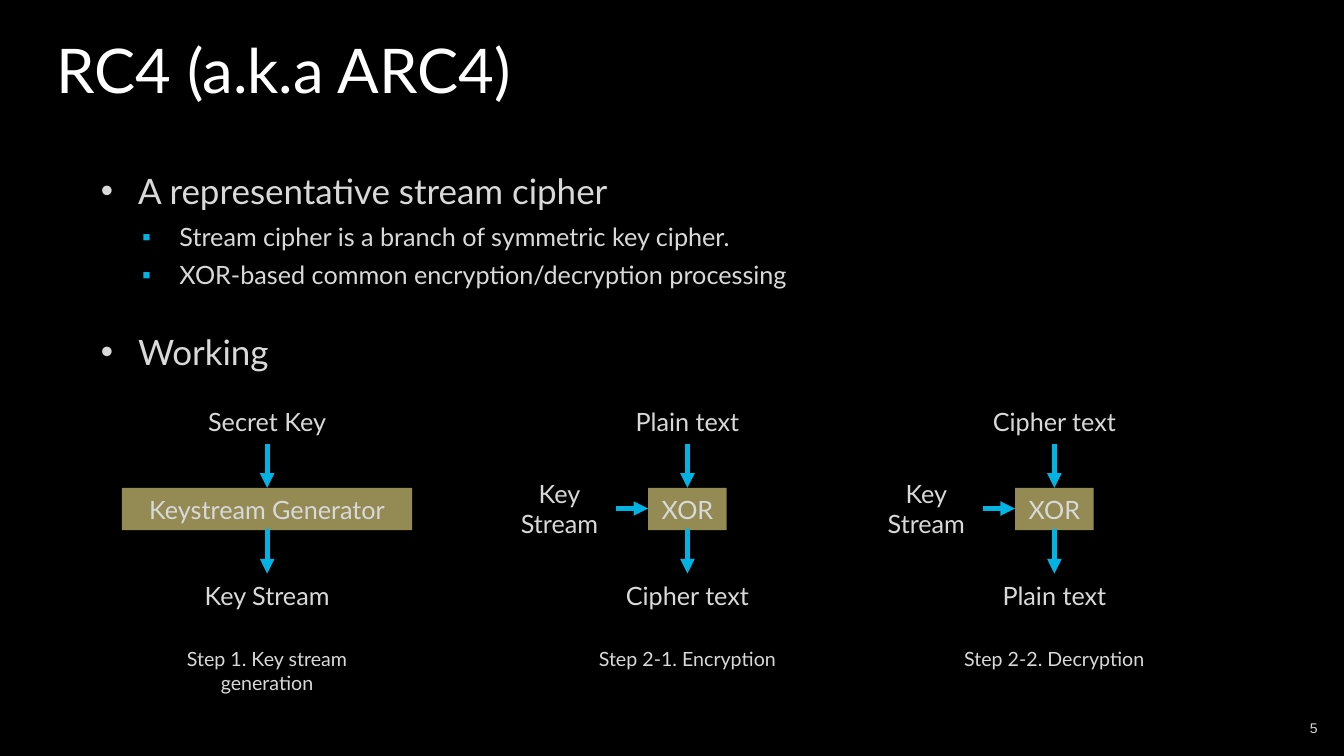
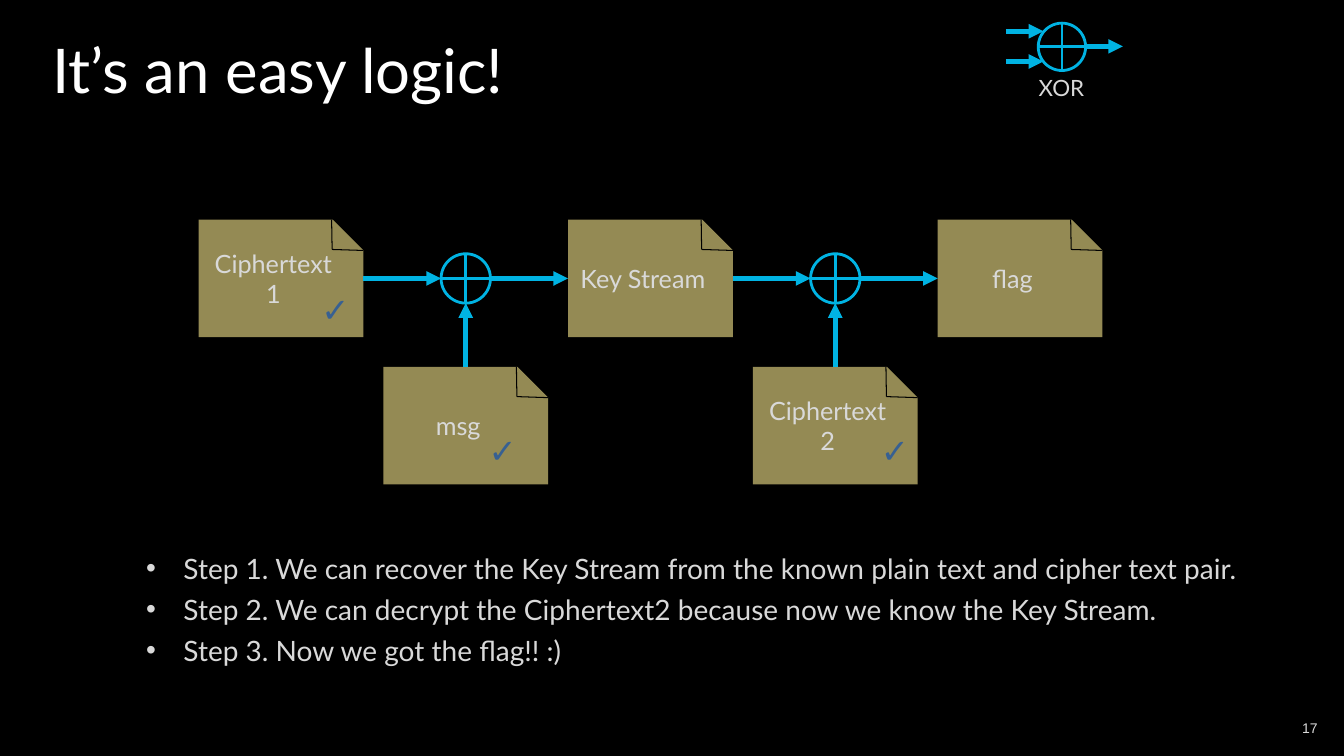
"""Build two slides on stream ciphers: how RC4 works and how a reused key stream leaks."""
from dataclasses import dataclass

from lxml.etree import SubElement
from pptx import Presentation
from pptx.dml.color import RGBColor
from pptx.enum.shapes import MSO_CONNECTOR as Connector, MSO_SHAPE as Preset
from pptx.enum.text import MSO_ANCHOR as Anchor, MSO_AUTO_SIZE as AutoSize, PP_ALIGN as Align
from pptx.oxml.ns import qn
from pptx.util import Inches, Pt


@dataclass(frozen=True)
class Theme:
    """Colours, fonts, type sizes and line widths of the deck."""
    back: str = "000000"
    title: str = "FFFFFF"
    text: str = "D9D9D9"
    accent: str = "00B3E3"
    panel: str = "948A54"
    tick: str = "376092"
    font: str = "Lato"
    plain_font: str = "Arial"
    title_size: float = 44
    head_size: float = 25
    tick_size: float = 24
    step_size: float = 20
    label_size: float = 18
    legend_size: float = 16
    caption_size: float = 14
    number_size: float = 10
    arrow_width: float = 3.5
    ring_width: float = 2
    fold_width: float = 0.75
    item_gap: float = 5.3


def grid(*cells):
    """Turn grid columns or rows, ten to the inch, into lengths."""
    return [Inches(cell / 10) for cell in cells]


def colour(value):
    """Return the colour object for a hex value."""
    return RGBColor.from_string(value)


class Board:
    """Holds the deck, its theme and the page being drawn."""

    def __init__(self, theme):
        """Start a wide deck with the theme's background."""
        self.theme = theme
        self.deck = Presentation()
        self.deck.slide_width, self.deck.slide_height = grid(133.33, 75)
        fill = self.deck.slide_master.background.fill
        fill.solid()
        fill.fore_color.rgb = colour(theme.back)
        self.page = None

    def add_page(self, title, left, number):
        """Add a page with its title and page number."""
        self.page = self.deck.slides.add_slide(self.deck.slide_layouts[1])
        box = self.page.shapes.title
        self.place(box, (left, 2.7, 80, 8.3))
        self.set_text(box, title, self.theme.title_size, Align.LEFT, self.theme.title)
        self.add_text(number, (101.7, 70.2, 30, 4), self.theme.number_size,
                      Align.RIGHT, font=self.theme.plain_font)

    def place(self, box, area):
        """Move a placeholder to an area of the grid."""
        box.left, box.top, box.width, box.height = grid(*area)

    def style(self, para, size, tint=None, font=None):
        """Format the runs of a paragraph."""
        for span in para.runs:
            span.font.size = Pt(size)
            span.font.name = font or self.theme.font
            span.font.color.rgb = colour(tint or self.theme.text)

    def set_text(self, box, words, size, align=Align.CENTER, tint=None, font=None,
                 anchor=Anchor.MIDDLE):
        """Fill a shape with formatted text."""
        frame = box.text_frame
        frame.text = words
        frame.word_wrap = True
        frame.auto_size = AutoSize.NONE
        frame.vertical_anchor = anchor
        for para in frame.paragraphs:
            para.alignment = align
            self.style(para, size, tint, font)

    def add_text(self, words, area, size, align=Align.CENTER, **look):
        """Add a text box."""
        self.set_text(self.page.shapes.add_textbox(*grid(*area)), words, size, align, **look)

    def add_bullets(self, area, items):
        """Fill the body placeholder with (text, level, size, gap) items."""
        body = self.page.placeholders[1]
        self.place(body, area)
        frame = body.text_frame
        frame.text = "\n".join(item[0] for item in items)
        frame.auto_size = AutoSize.NONE
        frame.vertical_anchor = Anchor.TOP
        for para, (_, level, size, gap) in zip(frame.paragraphs, items):
            para.level = level
            para.space_before = Pt(gap)
            self.style(para, size)
            props = para._p.get_or_add_pPr()
            props.set("marL", str(Inches(0.38 + 0.41 * level)))
            props.set("indent", str(Inches(-0.37)))
            tint = SubElement(props, qn("a:buClr"))
            SubElement(tint, qn("a:srgbClr"), val=(self.theme.text, self.theme.accent)[level])
            SubElement(props, qn("a:buFont"), typeface=self.theme.plain_font)
            SubElement(props, qn("a:buChar"), char="•▪"[level])

    def add_panel(self, words, area, preset=Preset.RECTANGLE):
        """Add a filled, labelled shape."""
        panel = self.page.shapes.add_shape(preset, *grid(*area))
        panel.shadow.inherit = False
        panel.fill.solid()
        panel.fill.fore_color.rgb = colour(self.theme.panel)
        panel.line.fill.background()
        self.set_text(panel, words, self.theme.label_size)
        return panel

    def add_line(self, start, end, tint, width):
        """Add a straight line without shadow."""
        line = self.page.shapes.add_connector(Connector.STRAIGHT, *grid(*start, *end))
        line.line.color.rgb = colour(tint)
        line.line.width = Pt(width)
        SubElement(line.element.spPr, qn("a:effectLst"))
        return line

    def add_arrow(self, start, end):
        """Add an arrow in the accent colour."""
        arrow = self.add_line(start, end, self.theme.accent, self.theme.arrow_width)
        outline = arrow.element.spPr.find(qn("a:ln"))
        SubElement(outline, qn("a:tailEnd"), type="triangle")

    def add_gate(self, x, y, radius):
        """Add an XOR ring around a centre."""
        side = 2 * radius
        ring = self.page.shapes.add_shape(
            Preset.FLOWCHART_OR, *grid(x - radius, y - radius, side, side))
        ring.shadow.inherit = False
        ring.fill.background()
        ring.line.color.rgb = colour(self.theme.accent)
        ring.line.width = Pt(self.theme.ring_width)

    def add_document(self, words, x, y, width, height):
        """Add a sheet with a folded corner."""
        sheet = self.add_panel(words, (x, y, width, height), Preset.SNIP_ROUND_RECTANGLE)
        sheet.adjustments[0], sheet.adjustments[1] = 0, 0.26
        corner = (x + width - 3.1, y + 2.95)
        for start in ((x + width - 3.15, y), (x + width, y + 3.05)):
            self.add_line(start, corner, self.theme.back, self.theme.fold_width)

    def add_flow(self, middle, width, source, action, result, caption, side_input=""):
        """Add a downward flow through one panel, with an optional input at its left."""
        size = self.theme.label_size
        for words, top in ((source, 39.7), (result, 57)):
            self.add_text(words, (middle - 8.25, top, 16.5, 4.2), size)
        self.add_panel(action, (middle - width / 2, 48.4, width, 4.2))
        for top in (44, 52.5):
            self.add_arrow((middle, top), (middle, top + 4.4))
        self.add_text(caption, (middle - 13.15, 63.7, 26.3, 5.6),
                      self.theme.caption_size, anchor=Anchor.TOP)
        if side_input:
            edge = middle - width / 2
            self.add_text(side_input, (edge - 14.5, 47.3, 11.4, 6.3), size)
            self.add_arrow((edge - 3.2, 50.45), (edge, 50.45))


def draw_working(board):
    """Draw the page on how RC4 works."""
    theme = board.theme
    board.add_page("RC4 (a.k.a ARC4)", 4.6, "5")
    board.add_bullets((8.9, 16.3, 112.6, 21.1), [
        ("A representative stream cipher", 0, theme.head_size, 0),
        ("Stream cipher is a branch of symmetric key cipher.", 1, theme.label_size, 7.4),
        ("XOR-based common encryption/decryption processing", 1, theme.label_size,
         theme.item_gap),
        ("Working", 0, theme.head_size, 29),
    ])
    board.add_flow(26.5, 28.8, "Secret Key", "Keystream Generator", "Key Stream",
                   "Step 1. Key stream generation")
    board.add_flow(68.2, 7.8, "Plain text", "XOR", "Cipher text",
                   "Step 2-1. Encryption", "Key\nStream")
    board.add_flow(104.6, 7.8, "Cipher text", "XOR", "Plain text",
                   "Step 2-2. Decryption", "Key\nStream")


def draw_attack(board):
    """Draw the page on recovering the flag."""
    theme = board.theme
    board.add_page("It’s an easy logic!", 4.2, "17")
    board.add_gate(105.35, 4.65, 2.35)
    board.add_text("XOR", (100.3, 6.9, 10, 3.6), theme.legend_size)
    for x, y in ((99.8, 3.1), (107.7, 4.6), (99.8, 6.1)):
        board.add_arrow((x, y), (x + 3.7, y))

    steps = ("Step 1. We can recover the Key Stream from the known plain text and cipher text pair.",
             "Step 2. We can decrypt the Ciphertext2 because now we know the Key Stream.",
             "Step 3. Now we got the flag!! :)")
    board.add_bullets((13.4, 54.2, 112.4, 19.1), [
        (step, 0, theme.step_size, theme.item_gap if index else 0)
        for index, step in enumerate(steps)])

    width, height, pitch, radius = 16.35, 11.65, 18.33, 2.45
    tops = (21.8, 36.4)
    axis = tops[0] + height / 2
    names = ("Ciphertext1", "msg", "Key Stream", "Ciphertext2", "flag")
    lefts = [19.7 + pitch * index for index in range(len(names))]
    for index, (name, left) in enumerate(zip(names, lefts)):
        board.add_document(name, left, tops[index % 2], width, height)
    for index in (1, 3):
        middle = lefts[index] + width / 2
        board.add_gate(middle, axis, radius)
        board.add_arrow((lefts[index - 1] + width, axis), (middle - radius, axis))
        board.add_arrow((middle + radius, axis), (lefts[index + 1], axis))
        board.add_arrow((middle, tops[1]), (middle, axis + radius))
    for x, y in ((30.9, 28.2), (47.5, 42.2), (86.4, 42.2)):
        board.add_text("✓", (x, y, 4.8, 5), theme.tick_size, Align.LEFT, tint=theme.tick)


def main():
    """Build and save the deck."""
    board = Board(Theme())
    draw_working(board)
    draw_attack(board)
    board.deck.save("out.pptx")


if __name__ == "__main__":
    main()
